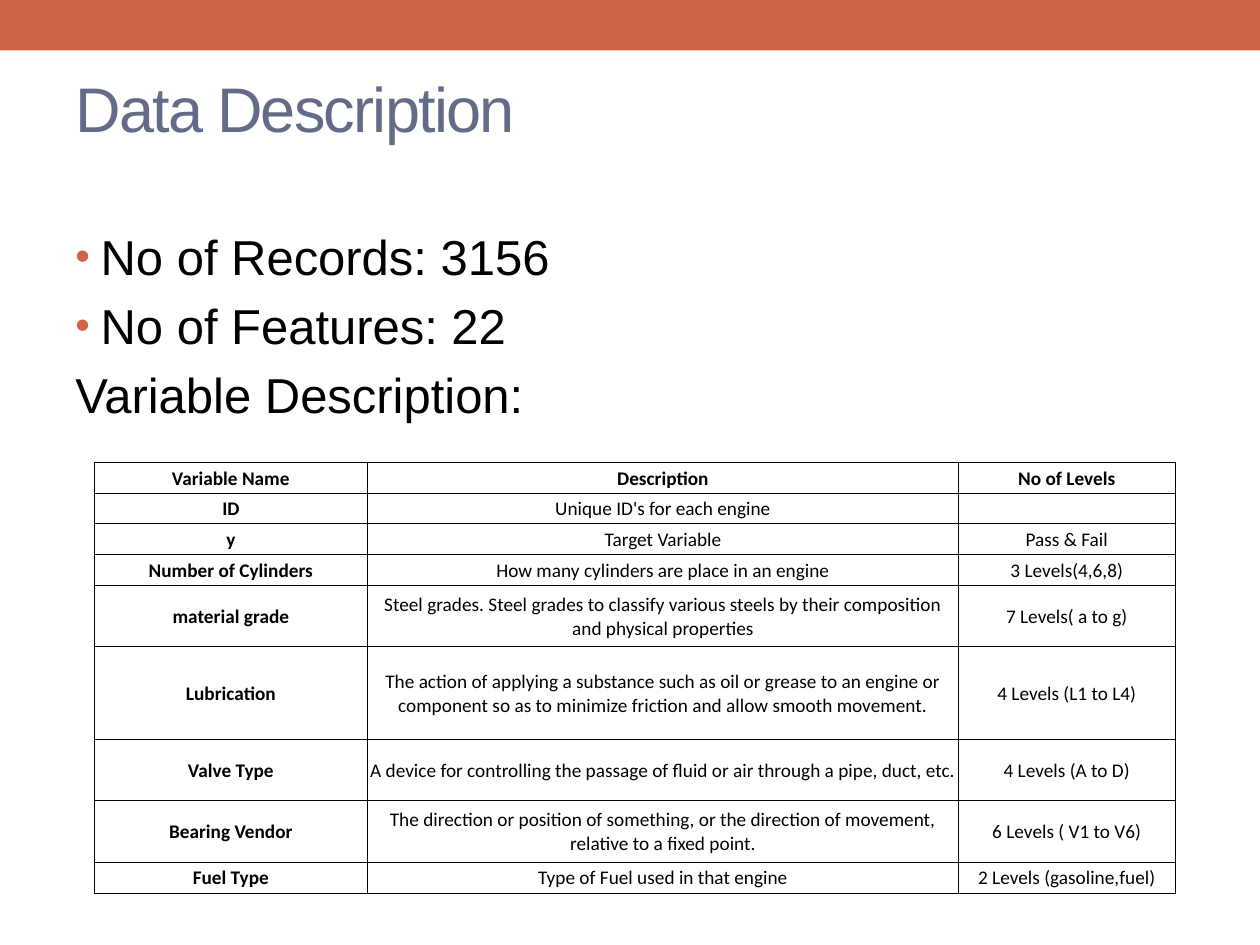
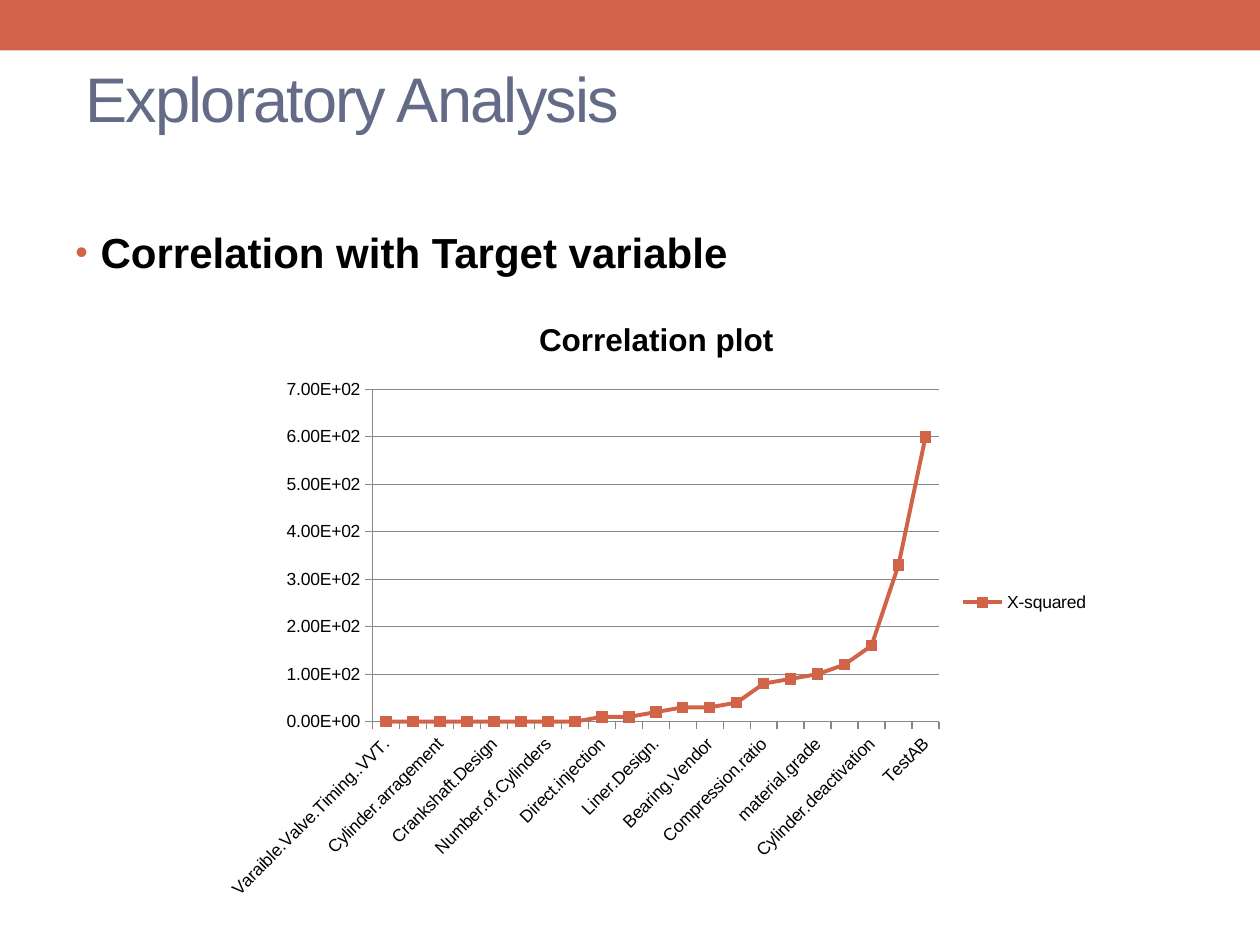
from dataclasses import dataclass

from lxml.etree import SubElement
from pptx import Presentation
from pptx.chart.data import CategoryChartData
from pptx.dml.color import RGBColor
from pptx.enum.chart import XL_CHART_TYPE, XL_LEGEND_POSITION, XL_MARKER_STYLE, XL_TICK_MARK
from pptx.enum.shapes import MSO_SHAPE
from pptx.enum.text import MSO_ANCHOR, PP_ALIGN
from pptx.oxml import parse_xml
from pptx.oxml.ns import nsdecls, qn
from pptx.presentation import Presentation as Deck
from pptx.slide import Slide
from pptx.table import _Cell
from pptx.util import Cm, Pt

# Shared colours and fonts
ACCENT = RGBColor(0xD1, 0x63, 0x49)
TITLE_COLOR = RGBColor(0x64, 0x6B, 0x86)
BLACK = RGBColor(0x00, 0x00, 0x00)
GRID_GRAY = RGBColor(0x87, 0x87, 0x87)
BODY_FONT = "Arial"
TABLE_FONT = "Calibri"

SLIDE_WIDTH, SLIDE_HEIGHT = Cm(25.4), Cm(19.05)
CONTENT_LEFT, CONTENT_WIDTH = Cm(1.27), Cm(22.86)


@dataclass
class BodyLine:
    text: str
    size: int
    bold: bool = False
    bulleted: bool = True


@dataclass
class VariableRow:
    name: str
    description: str
    levels: str
    units: int = 1  # row height in single-line units


@dataclass
class CorrelationPoint:
    variable: str
    value: int


# Content
DATA_LINES = [
    BodyLine("No of Records: 3156", 28),
    BodyLine("No of Features: 22", 28),
    BodyLine("Variable Description:", 28, bulleted=False),
]
ANALYSIS_LINES = [BodyLine("Correlation with Target variable", 24, bold=True)]

VARIABLE_ROWS = [
    VariableRow("Variable Name", "Description", "No of Levels"),
    VariableRow("ID", "Unique ID's for each engine", ""),
    VariableRow("y", "Target Variable", "Pass & Fail"),
    VariableRow("Number of Cylinders", "How many cylinders are place in an engine",
                "3 Levels(4,6,8)"),
    VariableRow("material grade",
                "Steel grades. Steel grades to classify various steels by their "
                "composition and physical properties", "7 Levels( a to g)", 2),
    VariableRow("Lubrication",
                "The action of applying a substance such as oil or grease to an engine "
                "or component so as to minimize friction and allow smooth movement.",
                "4 Levels (L1 to L4)", 3),
    VariableRow("Valve Type",
                "A device for controlling the passage of fluid or air through a pipe, "
                "duct, etc.", "4 Levels (A to D)", 2),
    VariableRow("Bearing Vendor",
                "The direction or position of something, or the direction of movement, "
                "relative to a fixed point.", "6 Levels ( V1 to V6)", 2),
    VariableRow("Fuel Type", "Type of Fuel used in that engine",
                "2 Levels (gasoline,fuel)"),
]

CORRELATIONS = [
    CorrelationPoint("Varaible.Valve.Timing..VVT.", 0),
    CorrelationPoint("displacement", 0),
    CorrelationPoint("Cylinder.arragement", 0),
    CorrelationPoint("main.bearing.type", 0),
    CorrelationPoint("Crankshaft.Design", 0),
    CorrelationPoint("Lubrication", 0),
    CorrelationPoint("Number.of.Cylinders", 0),
    CorrelationPoint("Turbocharger", 0),
    CorrelationPoint("Direct.injection", 10),
    CorrelationPoint("Valve.Type", 10),
    CorrelationPoint("Liner.Design.", 20),
    CorrelationPoint("piston.type", 30),
    CorrelationPoint("Bearing.Vendor", 30),
    CorrelationPoint("cam.arrangement", 40),
    CorrelationPoint("Compression.ratio", 80),
    CorrelationPoint("Max..Torque", 90),
    CorrelationPoint("material.grade", 100),
    CorrelationPoint("Fuel.Type", 120),
    CorrelationPoint("Cylinder.deactivation", 160),
    CorrelationPoint("Peak.Power", 330),
    CorrelationPoint("TestAB", 600),
]


def style_font(font, name: str, size: float, color: RGBColor, bold: bool = False) -> None:
    font.name = name
    font.size = Pt(size)
    font.bold = bold
    font.color.rgb = color


# Parts both slides share
def add_titled_slide(presentation: Deck, title: str, left: Cm, top: Cm) -> Slide:
    slide = presentation.slides.add_slide(presentation.slide_layouts[6])
    band = slide.shapes.add_shape(MSO_SHAPE.RECTANGLE, 0, 0, SLIDE_WIDTH, Cm(1.02))
    band.shadow.inherit = False
    band.fill.solid()
    band.fill.fore_color.rgb = ACCENT
    band.line.fill.background()

    title_box = slide.shapes.add_textbox(left, top, CONTENT_WIDTH, Cm(3.18))
    title_box.text_frame.word_wrap = True
    title_box.text_frame.vertical_anchor = MSO_ANCHOR.TOP
    run = title_box.text_frame.paragraphs[0].add_run()
    run.text = title
    style_font(run.font, BODY_FONT, 36, TITLE_COLOR)
    run.font._element.set("spc", "-100")
    return slide


def add_body(slide: Slide, lines: list[BodyLine]) -> None:
    body = slide.shapes.add_textbox(CONTENT_LEFT, Cm(4.45), CONTENT_WIDTH, Cm(13.54))
    frame = body.text_frame
    frame.word_wrap = True
    for index, line in enumerate(lines):
        paragraph = frame.add_paragraph() if index else frame.paragraphs[0]
        properties = paragraph._p.get_or_add_pPr()
        spacing = SubElement(properties, qn("a:spcBef"))
        SubElement(spacing, qn("a:spcPct")).set("val", "20000")
        if line.bulleted:
            indent = Cm(0.51)
            properties.set("marL", str(indent))
            properties.set("indent", str(-indent))
            bullet_color = SubElement(properties, qn("a:buClr"))
            SubElement(bullet_color, qn("a:srgbClr")).set("val", str(ACCENT))
            SubElement(properties, qn("a:buSzPct")).set("val", "85000")
            SubElement(properties, qn("a:buFont")).set("typeface", BODY_FONT)
            SubElement(properties, qn("a:buChar")).set("char", "•")
        run = paragraph.add_run()
        run.text = line.text
        style_font(run.font, BODY_FONT, line.size, BLACK, line.bold)


# Variable table
def fill_cell(cell: _Cell, text: str, bold: bool) -> None:
    cell.fill.background()
    cell.vertical_anchor = MSO_ANCHOR.MIDDLE
    cell.margin_left = cell.margin_right = cell.margin_top = Cm(0.03)
    cell.margin_bottom = 0
    paragraph = cell.text_frame.paragraphs[0]
    paragraph.alignment = PP_ALIGN.CENTER
    if text:
        run = paragraph.add_run()
        run.text = text
        style_font(run.font, TABLE_FONT, 11, BLACK, bold)
    else:
        SubElement(paragraph._p, qn("a:endParaRPr")).set("sz", "1100")
    cell_properties = cell._tc.get_or_add_tcPr()
    for position, side in enumerate("LRTB"):
        cell_properties.insert(position, parse_xml(
            f'<a:ln{side} {nsdecls("a")} w="{Pt(0.5)}"><a:solidFill>'
            f'<a:srgbClr val="{BLACK}"/></a:solidFill></a:ln{side}>'))


def add_variable_table(slide: Slide, rows: list[VariableRow]) -> None:
    column_widths = [Cm(5.51), Cm(11.91), Cm(4.37)]
    unit_height = Cm(0.62)
    table = slide.shapes.add_table(
        len(rows), len(column_widths), Cm(1.9), Cm(9.32), sum(column_widths),
        unit_height * sum(row.units for row in rows)).table
    table.horz_banding = False
    for column, width in zip(table.columns, column_widths):
        column.width = width
    for row_index, row in enumerate(rows):
        table.rows[row_index].height = unit_height * row.units
        for column_index, text in enumerate((row.name, row.description, row.levels)):
            bold = row_index == 0 or column_index == 0
            fill_cell(table.cell(row_index, column_index), text, bold)


# Correlation chart
def add_correlation_chart(slide: Slide, points: list[CorrelationPoint]) -> None:
    chart_data = CategoryChartData()
    chart_data.categories = [point.variable for point in points]
    chart_data.add_series("X-squared", [point.value for point in points])
    chart = slide.shapes.add_chart(
        XL_CHART_TYPE.LINE_MARKERS_STACKED, Cm(4.24), Cm(5.92), Cm(17.98), Cm(12.45),
        chart_data).chart
    style_font(chart.font, BODY_FONT, 10, BLACK)

    chart.has_title = True
    run = chart.chart_title.text_frame.paragraphs[0].add_run()
    run.text = "Correlation plot"
    style_font(run.font, BODY_FONT, 18, BLACK, bold=True)

    chart.has_legend = True
    chart.legend.position = XL_LEGEND_POSITION.RIGHT
    chart.legend.include_in_layout = False

    value_axis, category_axis = chart.value_axis, chart.category_axis
    value_axis.minimum_scale, value_axis.maximum_scale = 0, 700
    value_axis.major_unit = 100
    value_axis.has_major_gridlines = True
    value_axis.tick_labels.number_format = "0.00E+00"
    value_axis.tick_labels.number_format_is_linked = False
    for axis in (value_axis, category_axis):
        axis.major_tick_mark = XL_TICK_MARK.OUTSIDE
        style_font(axis.tick_labels.font, BODY_FONT, 10, BLACK)
    for line in (value_axis.format.line, category_axis.format.line,
                 value_axis.major_gridlines.format.line):
        line.color.rgb = GRID_GRAY
        line.width = Pt(0.75)
    label_body = category_axis._element.find(qn("c:txPr")).find(qn("a:bodyPr"))
    label_body.set("rot", str(-45 * 60000))

    plot = chart.plots[0]
    plot.vary_by_categories = False
    series = plot.series[0]
    series.smooth = False
    series.format.line.color.rgb = ACCENT
    series.format.line.width = Pt(2.25)
    series.marker.style = XL_MARKER_STYLE.SQUARE
    series.marker.size = 6
    series.marker.format.fill.solid()
    series.marker.format.fill.fore_color.rgb = ACCENT
    series.marker.format.line.color.rgb = ACCENT


presentation = Presentation()
presentation.slide_width, presentation.slide_height = SLIDE_WIDTH, SLIDE_HEIGHT

# Slide 1: data description
data_slide = add_titled_slide(presentation, "Data Description", CONTENT_LEFT, Cm(1.27))
add_body(data_slide, DATA_LINES)
add_variable_table(data_slide, VARIABLE_ROWS)

# Slide 2: exploratory analysis
analysis_slide = add_titled_slide(presentation, "Exploratory Analysis", Cm(1.47), Cm(1.07))
add_body(analysis_slide, ANALYSIS_LINES)
add_correlation_chart(analysis_slide, CORRELATIONS)

presentation.save("out.pptx")
